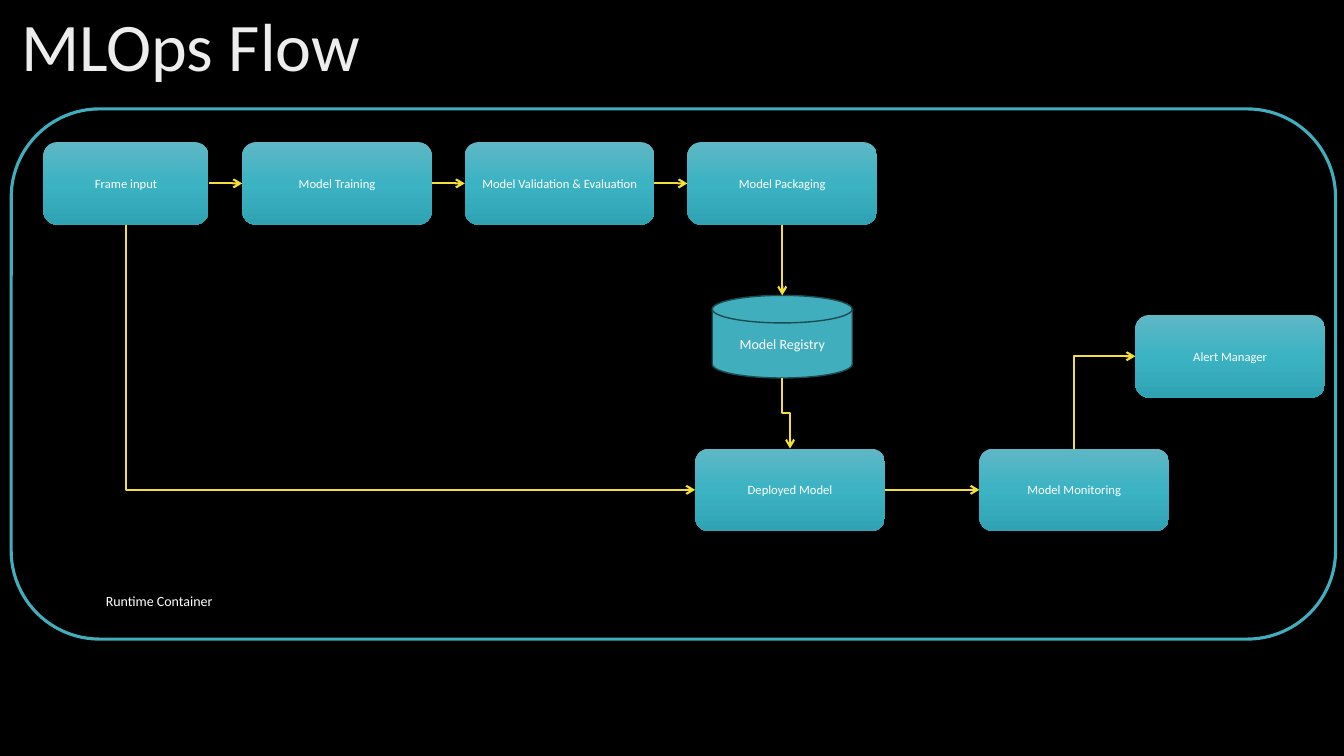
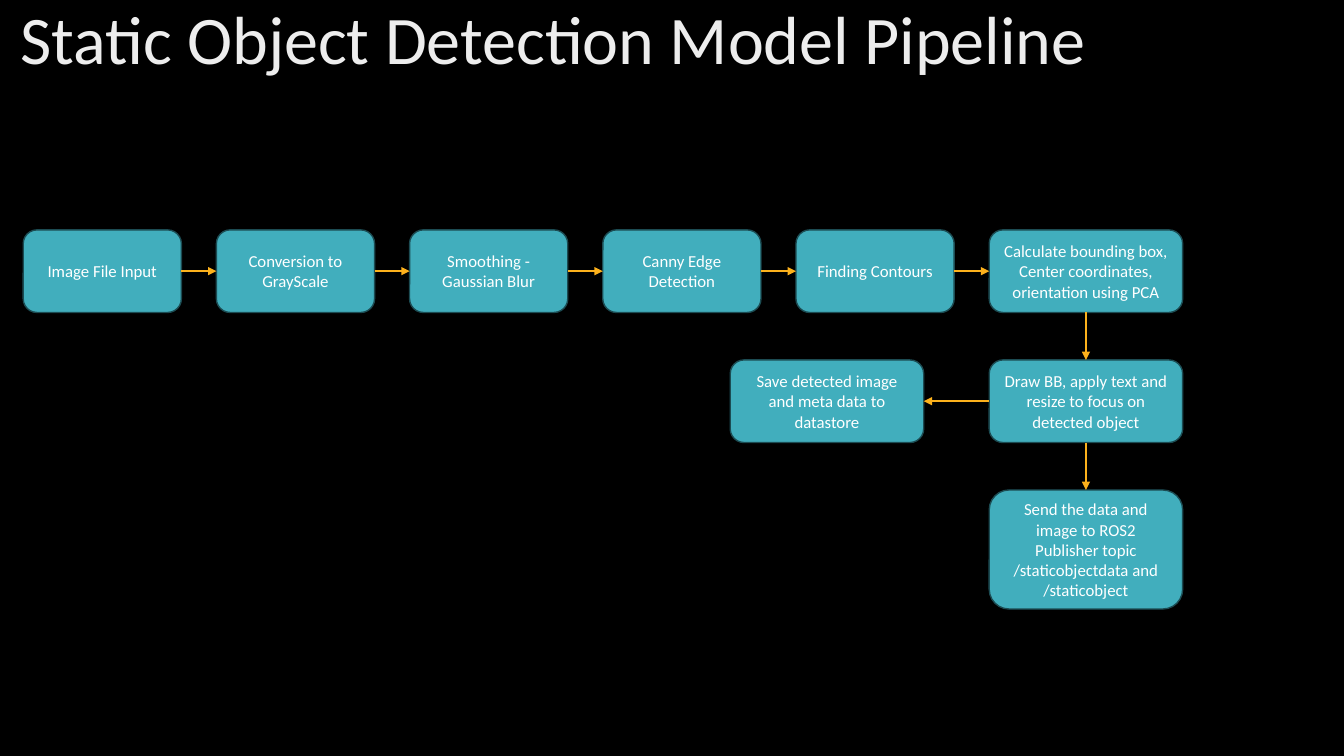
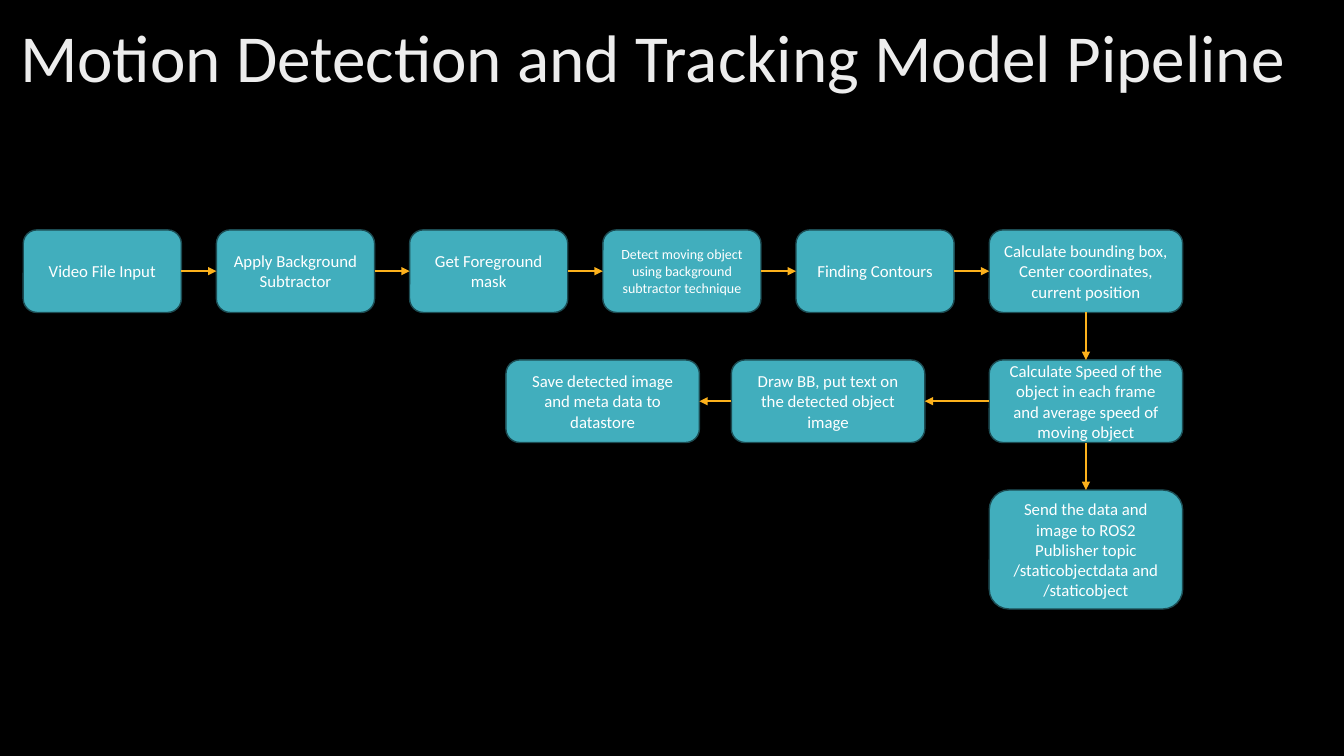
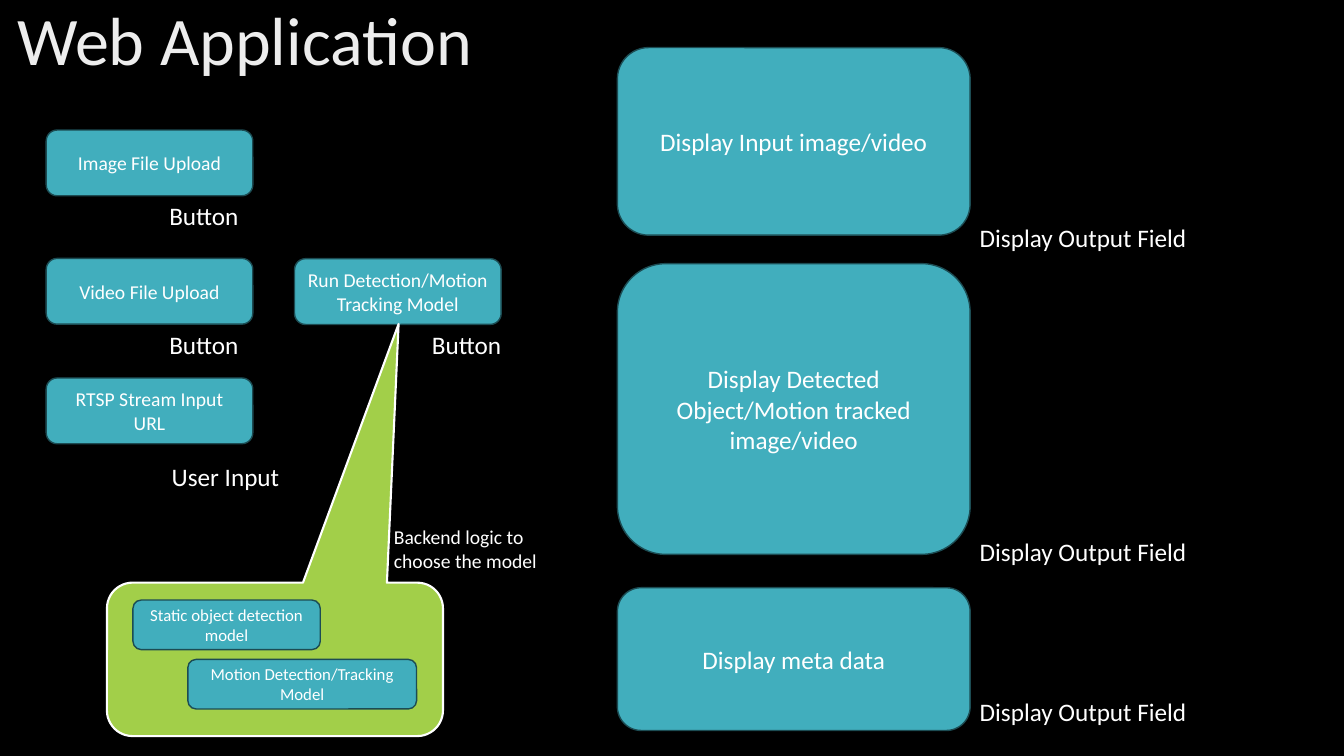
"""Build four slides on an object detection and tracking system."""
from copy import deepcopy

from lxml import etree
from pptx import Presentation
from pptx.dml.color import RGBColor
from pptx.enum.shapes import MSO_CONNECTOR as LINK, MSO_SHAPE as SHAPE
from pptx.enum.text import MSO_ANCHOR as ANCHOR, MSO_AUTO_SIZE as FIT, PP_ALIGN as ALIGN
from pptx.oxml.ns import qn
from pptx.util import Pt

BLACK = RGBColor(0x00, 0x00, 0x00)
WHITE = RGBColor(0xFF, 0xFF, 0xFF)
TITLE_GREY = RGBColor(0xED, 0xED, 0xED)
TEAL = RGBColor(0x41, 0xAE, 0xBD)
DARK_TEAL = RGBColor(0x1C, 0x4C, 0x53)
GREEN = RGBColor(0xA2, 0xCF, 0x49)
YELLOW = RGBColor(0xF4, 0xDE, 0x3A)
ORANGE = RGBColor(0xFC, 0xB1, 0x1C)
GLOSS = [(0, RGBColor(0x5F, 0xB7, 0xC5)), (0.5, RGBColor(0x3B, 0xB3, 0xC3)),
         (1, RGBColor(0x2F, 0xA3, 0xB3))]
FONT = "Calibri"
SITES = {"top": 0, "left": 1, "bottom": 2, "right": 3}
BOX_H = 59
FLOW_W = 135.5
STEP_W, STEP_PITCH, WIDE_W = 113, 138, 138.2
STEP_X, STEP_Y, ROW_PITCH = 16.6, 164.2, 92.9


def write(frame, text, size, color=WHITE, align=ALIGN.LEFT):
    """Put one formatted run in a text frame and return its paragraph."""
    frame.word_wrap = True
    paragraph = frame.paragraphs[0]
    paragraph.alignment = align
    run = paragraph.add_run()
    run.text = text
    run.font.name = FONT
    run.font.size = Pt(size)
    run.font.color.rgb = color
    return paragraph


def titled_slide(prs, text, x, y, w, h, size=48.6):
    """Add a slide with a large left-aligned title."""
    slide = prs.slides.add_slide(prs.slide_layouts[5])
    title = slide.shapes.title
    title.left, title.top, title.width, title.height = Pt(x), Pt(y), Pt(w), Pt(h)
    frame = title.text_frame
    frame.auto_size = FIT.NONE
    frame.vertical_anchor = ANCHOR.MIDDLE
    write(frame, text, size, TITLE_GREY).line_spacing = 0.9
    return slide


def outline(slide, kind, x, y, w, h, fill, line, weight):
    """Add a flat preset shape; a missing fill or line stays empty."""
    shape = slide.shapes.add_shape(kind, Pt(x), Pt(y), Pt(w), Pt(h))
    shape.shadow.inherit = False
    if fill is None:
        shape.fill.background()
    else:
        shape.fill.solid()
        shape.fill.fore_color.rgb = fill
    if line is None:
        shape.line.fill.background()
    else:
        shape.line.color.rgb = line
        shape.line.width = Pt(weight)
    return shape


def box(slide, text, x, y, w, h, size, kind=SHAPE.ROUNDED_RECTANGLE, line=DARK_TEAL):
    """Add a teal shape with a centred caption."""
    shape = outline(slide, kind, x, y, w, h, TEAL, line, 1)
    shape.text_frame.vertical_anchor = ANCHOR.MIDDLE
    write(shape.text_frame, text, size, align=ALIGN.CENTER)
    return shape


def glossy_box(slide, text, x, y, w=FLOW_W):
    """Add a borderless box with a vertical teal gradient."""
    shape = box(slide, text, x, y, w, BOX_H, 9, line=None)
    shape.fill.gradient()
    shape.fill.gradient_angle = 270
    stops = shape._element.spPr.find(".//" + qn("a:gsLst"))
    stops.append(deepcopy(stops[0]))
    for stop, (position, color) in zip(shape.fill.gradient_stops, GLOSS):
        stop.position = position
        stop.color.rgb = color
    return shape


def label(slide, text, x, y, w, h=28.8, size=18):
    """Add a plain caption."""
    caption = slide.shapes.add_textbox(Pt(x), Pt(y), Pt(w), Pt(h))
    write(caption.text_frame, text, size)


def site(shape, side):
    """Return the point in the middle of one side and its connection index."""
    across = {"left": 0, "right": shape.width}.get(side, shape.width // 2)
    down = {"top": 0, "bottom": shape.height}.get(side, shape.height // 2)
    shifted = shape.auto_shape_type == SHAPE.FLOWCHART_MAGNETIC_DISK
    return shape.left + across, shape.top + down, SITES[side] + shifted


def arrow(slide, source, side, target, target_side, color, head):
    """Join two shapes; a vertical start with an offset end makes an elbow."""
    x1, y1, first = site(source, side)
    x2, y2, last = site(target, target_side)
    bent = side in ("top", "bottom") and abs(x2 - x1) > Pt(1)
    if bent:
        mid_x, mid_y = (x1 + x2) // 2, (y1 + y2) // 2
        half_w, half_h = (x2 - x1) // 2, (y2 - y1) // 2
        x1, y1 = mid_x - half_h, mid_y + half_w
        x2, y2 = mid_x + half_h, mid_y - half_w
    link = slide.shapes.add_connector(
        LINK.ELBOW if bent else LINK.STRAIGHT, x1, y1, x2, y2)
    link.begin_connect(source, first)
    link.end_connect(target, last)
    link.begin_x, link.begin_y, link.end_x, link.end_y = x1, y1, x2, y2
    link.line.color.rgb = color
    link.line.width = Pt(1.5)
    properties = link._element.spPr
    if bent:
        properties.find(qn("a:xfrm")).set("rot", "5400000")
        if target_side == "left":
            properties.find(qn("a:prstGeom")).set("prst", "bentConnector2")
    etree.SubElement(properties.find(qn("a:ln")), qn("a:tailEnd"), type=head)
    etree.SubElement(properties, qn("a:effectLst"))


def mlops_slide(prs):
    """Show the route from frame input to alerting."""
    slide = titled_slide(prs, "MLOps Flow", 8, 8.6, 806, 53.3)
    outline(slide, SHAPE.ROUNDED_RECTANGLE, 8, 77.8, 946, 378.7, None, TEAL, 2.25)
    label(slide, "Runtime Container", 68.5, 419.8, 156, 19.5, 10)
    frames = glossy_box(slide, "Frame input", 31, 101.5, 118)
    training, validation, packaging = [
        glossy_box(slide, text, 173 + 159 * i, 101.5) for i, text in enumerate(
            ["Model Training", "Model Validation & Evaluation", "Model Packaging"])]
    registry = box(slide, "Model Registry", 508.75, 211, 100, BOX_H, 10,
                   SHAPE.FLOWCHART_MAGNETIC_DISK)
    deployed = glossy_box(slide, "Deployed Model", 496.6, 320.4)
    monitoring = glossy_box(slide, "Model Monitoring", 699.6, 320.4)
    alerts = glossy_box(slide, "Alert Manager", 811, 225)
    for source, side, target, target_side in [
            (frames, "right", training, "left"),
            (training, "right", validation, "left"),
            (validation, "right", packaging, "left"),
            (packaging, "bottom", registry, "top"),
            (registry, "bottom", deployed, "top"),
            (frames, "bottom", deployed, "left"),
            (deployed, "right", monitoring, "left"),
            (monitoring, "top", alerts, "left")]:
        arrow(slide, source, side, target, target_side, YELLOW, "arrow")


def pipeline(slide, steps, branch, branch_xs, small=()):
    """Draw a row of steps, a branch running left below it and the publisher."""
    final = len(steps) - 1
    right_x = STEP_X + final * STEP_PITCH
    row = [box(slide, text, STEP_X + i * STEP_PITCH, STEP_Y,
               WIDE_W if i == final else STEP_W, BOX_H, 10 if i in small else 12)
           for i, text in enumerate(steps)]
    lower = [box(slide, text, x, STEP_Y + ROW_PITCH, WIDE_W, BOX_H, 12)
             for text, x in zip(branch, [right_x] + branch_xs)]
    publisher = box(slide, "Send the data and image to ROS2 Publisher topic "
                    "/staticobjectdata and /staticobject",
                    right_x, STEP_Y + 2 * ROW_PITCH, WIDE_W, 85, 12)
    for source, target in zip(row, row[1:]):
        arrow(slide, source, "right", target, "left", ORANGE, "triangle")
    for source, target in [(row[-1], lower[0]), (lower[0], publisher)]:
        arrow(slide, source, "bottom", target, "top", ORANGE, "triangle")
    for source, target in zip(lower, lower[1:]):
        arrow(slide, source, "left", target, "right", ORANGE, "triangle")


def static_slide(prs):
    """Show the static object detection steps."""
    slide = titled_slide(prs, "Static Object Detection Model Pipeline", 7.2, 7.2, 829.4, 46.8)
    pipeline(slide,
             ["Image File Input", "Conversion to GrayScale", "Smoothing - Gaussian Blur",
              "Canny Edge Detection", "Finding Contours",
              "Calculate bounding box, Center coordinates, orientation using PCA"],
             ["Draw BB, apply text and resize to focus on detected object",
              "Save detected image and meta data to datastore"],
             [521.6])


def motion_slide(prs):
    """Show the motion detection and tracking steps."""
    slide = titled_slide(prs, "Motion Detection and Tracking Model Pipeline",
                         7.2, 7.2, 943.2, 72.7, 48)
    pipeline(slide,
             ["Video File Input", "Apply Background Subtractor", "Get Foreground mask",
              "Detect moving object using background subtractor technique",
              "Finding Contours",
              "Calculate bounding box, Center coordinates, current position"],
             ["Calculate Speed of the object in each frame and average speed of moving object",
              "Draw BB, put text on the detected object image",
              "Save detected image and meta data to datastore"],
             [522.4, 361.4], small=(3,))


def web_slide(prs):
    """Show the inputs, backend choice and outputs of the web page."""
    slide = titled_slide(prs, "Web Application", 5, 7.9, 923.8, 46.8)
    for text, x, y in [("Image File Upload", 33, 92.9),
                       ("Video File Upload", 33, 184.6),
                       ("RTSP Stream Input URL", 33, 270),
                       ("Run Detection/Motion Tracking Model", 210.4, 184.8)]:
        box(slide, text, x, y, 147.6, 47, 14)
    for text, y, h in [("Display Input image/video", 34, 134),
                       ("Display Detected Object/Motion tracked image/video", 188.3, 207.7),
                       ("Display meta data", 419.8, 102)]:
        box(slide, text, 441, y, 252, h, 18)
    for text, x, y, w in [("Button", 113.8, 139.7, 68), ("Button", 113.8, 231.8, 68),
                          ("User Input", 115.6, 326.2, 94), ("Button", 301.4, 231.8, 68)]:
        label(slide, text, x, y, w)
    for y in (155, 379.4, 493.9):
        label(slide, "Display Output Field", 692.7, y, 168)
    backend = outline(slide, SHAPE.ROUNDED_RECTANGULAR_CALLOUT,
                      76.4, 416.2, 240, 109.6, GREEN, WHITE, 1.5)
    for i, value in enumerate((0.368, -2.186, 0.167)):
        backend.adjustments[i] = value
    box(slide, "Static object detection model", 95, 428.6, 133.8, 35.4, 12)
    box(slide, "Motion Detection/Tracking Model", 134.2, 471, 163.4, 35.4, 12)
    label(slide, "Backend logic to choose the model", 274.3, 371.6, 136.8, 41, 14)


def main():
    """Build and save the presentation."""
    prs = Presentation()
    prs.slide_width, prs.slide_height = Pt(960), Pt(540)
    backdrop = prs.slide_master.background.fill
    backdrop.solid()
    backdrop.fore_color.rgb = BLACK
    for build in (mlops_slide, static_slide, motion_slide, web_slide):
        build(prs)
    prs.save("out.pptx")


if __name__ == "__main__":
    main()
